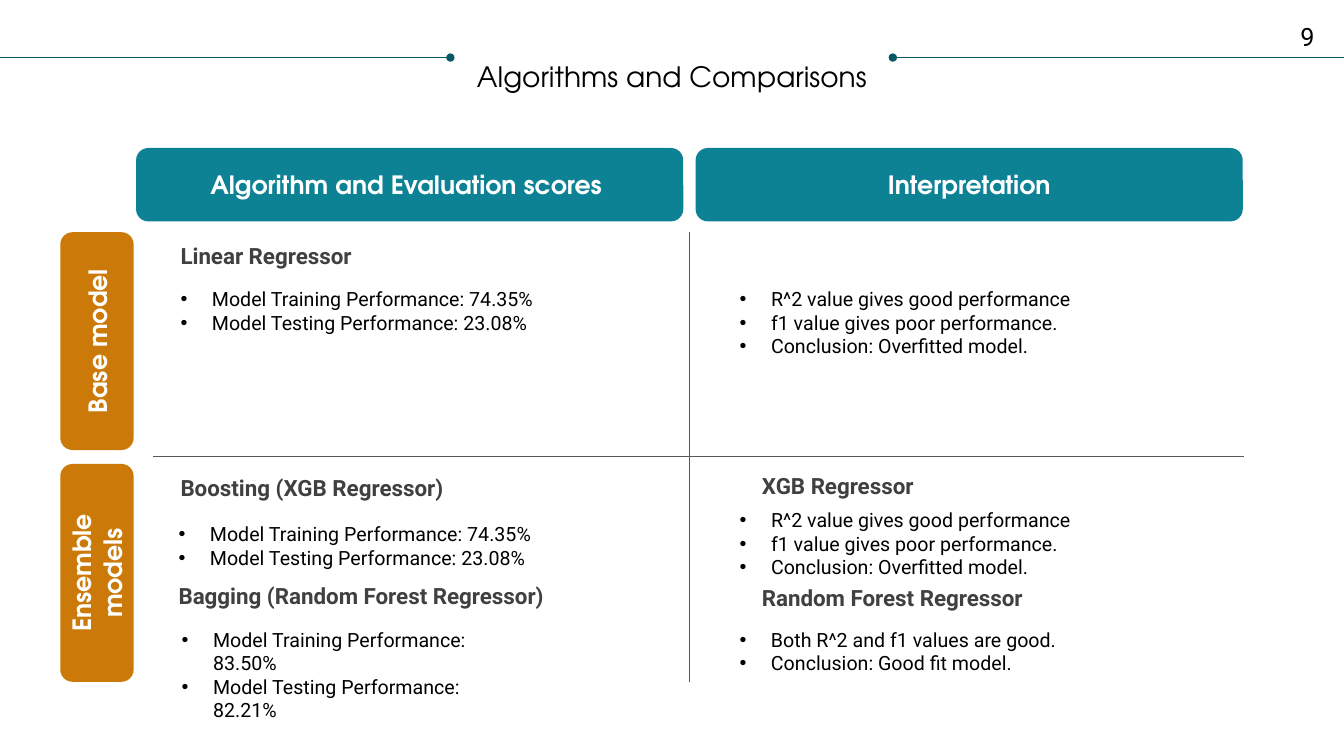
from dataclasses import dataclass

import lxml.etree
import pptx
import pptx.dml.color
import pptx.enum.shapes
import pptx.enum.text
import pptx.oxml
import pptx.oxml.ns
import pptx.util

Cm = pptx.util.Cm
ALIGN = pptx.enum.text.PP_ALIGN
ANCHOR = pptx.enum.text.MSO_ANCHOR
COLOURS = {
    "teal": "0D8295", "orange": "CB7A09", "title_rule": "085764", "grid_rule": "585858",
    "heading": "404040", "text": "000000", "label": "FFFFFF",
}
DISPLAY, BODY = "TeX Gyre Adventor", "Roboto"
WIDTH, HEIGHT = 33.87, 19.05
LEFT, RIGHT = 4.55, 18.64
INDENT = 0.79


@dataclass
class Label:
    text: str
    left: float
    top: float
    width: float
    colour: str
    rotation: float = 0


@dataclass
class Rule:
    start: tuple[float, float]
    end: tuple[float, float]
    colour: str
    dot: bool = False


@dataclass
class Heading:
    text: str
    left: float
    top: float


@dataclass
class Listing:
    items: list[str]
    left: float
    top: float
    width: float = 11.56


OVERFITTED = [
    "R^2 value gives good performance",
    "f1 value gives poor performance.",
    "Conclusion: Overfitted model.",
]


def scores(training: str, testing: str) -> list[str]:
    """Return the two lines that report a model's scores."""
    return [f"Model Training Performance: {training}", f"Model Testing Performance: {testing}"]


LABELS = [
    *(Label(text, 3.43 + 14.1 * column, 3.73, 13.79, "teal")
      for column, text in enumerate(["Algorithm and Evaluation scores ", "Interpretation"])),
    *(Label(text, -0.3, 7.67 + 5.84 * row, 5.49, "orange", 270)
      for row, text in enumerate(["Base model", "Ensemble models"])),
]
RULES = [
    Rule((0, 1.45), (11.35, 1.45), "title_rule", dot=True),
    Rule((WIDTH, 1.45), (22.5, 1.45), "title_rule", dot=True),
    Rule((3.86, 11.5), (31.34, 11.5), "grid_rule"),
    Rule((17.37, 5.85), (17.37, 17.18), "grid_rule"),
]
HEADINGS = [
    Heading("Linear Regressor", LEFT, 6.1),
    Heading("Boosting (XGB Regressor)", LEFT, 11.96),
    Heading("Bagging (Random Forest Regressor)", 4.5, 14.68),
    Heading("XGB Regressor", 19.2, 11.91),
    Heading("Random Forest Regressor", 19.2, 14.71),
]
LISTINGS = [
    Listing(scores("74.35%", "23.08%"), LEFT, 7.24),
    Listing(OVERFITTED, RIGHT, 7.24),
    Listing(scores("74.35%", "23.08%"), 4.5, 13.16),
    Listing(OVERFITTED, RIGHT, 12.8),
    Listing(scores("83.50%", "82.21%"), 4.58, 15.82, 8.64),
    Listing(["Both R^2 and f1 values are good.", "Conclusion: Good fit model."], RIGHT, 15.82),
]


def colour_of(name: str) -> pptx.dml.color.RGBColor:
    """Return the named colour."""
    return pptx.dml.color.RGBColor.from_string(COLOURS[name])


def add_bullet(para) -> None:
    """Give a paragraph a round bullet with a hanging indent."""
    properties = para._p.get_or_add_pPr()
    properties.set("marL", str(Cm(INDENT)))
    properties.set("indent", str(-Cm(INDENT)))
    font = lxml.etree.SubElement(properties, pptx.oxml.ns.qn("a:buFont"))
    font.set("typeface", "Arial")
    bullet = lxml.etree.SubElement(properties, pptx.oxml.ns.qn("a:buChar"))
    bullet.set("char", "•")


def write(box, lines: list[str], *, size: float, font: str = BODY, colour: str = "text",
          bold: bool = False, align=ALIGN.LEFT, anchor=ANCHOR.TOP, spacing: float = 1.0,
          margin: float = 0, bullets: bool = False) -> None:
    """Fill a shape with formatted paragraphs."""
    frame = box.text_frame
    frame.word_wrap = True
    frame.auto_size = pptx.enum.text.MSO_AUTO_SIZE.NONE
    frame.vertical_anchor = anchor
    frame.margin_left = frame.margin_right = Cm(margin)
    frame.margin_top = frame.margin_bottom = Cm(margin / 2)
    for number, line in enumerate(lines):
        para = frame.add_paragraph() if number else frame.paragraphs[0]
        para.alignment = align
        para.line_spacing = spacing
        para.space_before = para.space_after = pptx.util.Pt(0)
        if bullets:
            add_bullet(para)
        span = para.add_run()
        span.text = line
        span.font.name = font
        span.font.size = pptx.util.Pt(size)
        span.font.bold = bold
        span.font.color.rgb = colour_of(colour)


def place(box, left: float, top: float, width: float, height: float) -> None:
    """Move and size a shape."""
    box.left, box.top, box.width, box.height = map(Cm, (left, top, width, height))


def add_text(page, left: float, top: float, width: float, height: float):
    """Add an empty text box."""
    return page.shapes.add_textbox(Cm(left), Cm(top), Cm(width), Cm(height))


def add_label(page, label: Label) -> None:
    """Draw a rounded column or row label."""
    box = page.shapes.add_shape(pptx.enum.shapes.MSO_SHAPE.ROUNDED_RECTANGLE,
                                Cm(label.left), Cm(label.top), Cm(label.width), Cm(1.85))
    box.rotation = label.rotation
    box.shadow.inherit = False
    box.fill.solid()
    box.fill.fore_color.rgb = colour_of(label.colour)
    box.line.fill.background()
    write(box, [label.text], size=18, font=DISPLAY, colour="label", bold=True,
          align=ALIGN.CENTER, anchor=ANCHOR.MIDDLE, margin=0.25)


def add_rule(page, rule: Rule) -> None:
    """Draw a thin line, with a dot at its end if asked."""
    line = page.shapes.add_connector(pptx.enum.shapes.MSO_CONNECTOR.STRAIGHT,
                                     *map(Cm, rule.start + rule.end))
    line.line.width = pptx.util.Pt(0.5)
    line.line.color.rgb = colour_of(rule.colour)
    if rule.dot:
        tail = lxml.etree.SubElement(line.line._get_or_add_ln(), pptx.oxml.ns.qn("a:tailEnd"))
        tail.set("type", "oval")
    lxml.etree.SubElement(line._element.spPr, pptx.oxml.ns.qn("a:effectLst"))


def main() -> None:
    """Build and save the slide."""
    deck = pptx.Presentation()
    deck.slide_width, deck.slide_height = Cm(WIDTH), Cm(HEIGHT)
    page = deck.slides.add_slide(deck.slide_layouts.get_by_name("Comparison"))
    title = page.shapes.title
    place(title, 0.64, 1.6, 32.59, 1.55)
    write(title, ["Algorithms and Comparisons"], size=20, font=DISPLAY,
          align=ALIGN.CENTER, spacing=0.9)
    bodies = [box for box in page.placeholders if box.placeholder_format.idx in range(1, 5)]
    for label in LABELS:
        add_label(page, label)
    for rule in RULES:
        add_rule(page, rule)
    for heading in HEADINGS:
        box = add_text(page, heading.left, heading.top, 11.56, 0.69)
        write(box, [heading.text], size=16, colour="heading", bold=True)
    for listing in LISTINGS:
        area = (listing.left, listing.top, listing.width, 0.6 * len(listing.items))
        box = bodies.pop(0) if bodies else add_text(page, *area)
        place(box, *area)
        write(box, listing.items, size=14, bullets=True)
    write(add_text(page, 32.77, 0.53, 0.8, 0.8), ["9"], size=18)
    deck.save("out.pptx")


if __name__ == "__main__":
    main()
